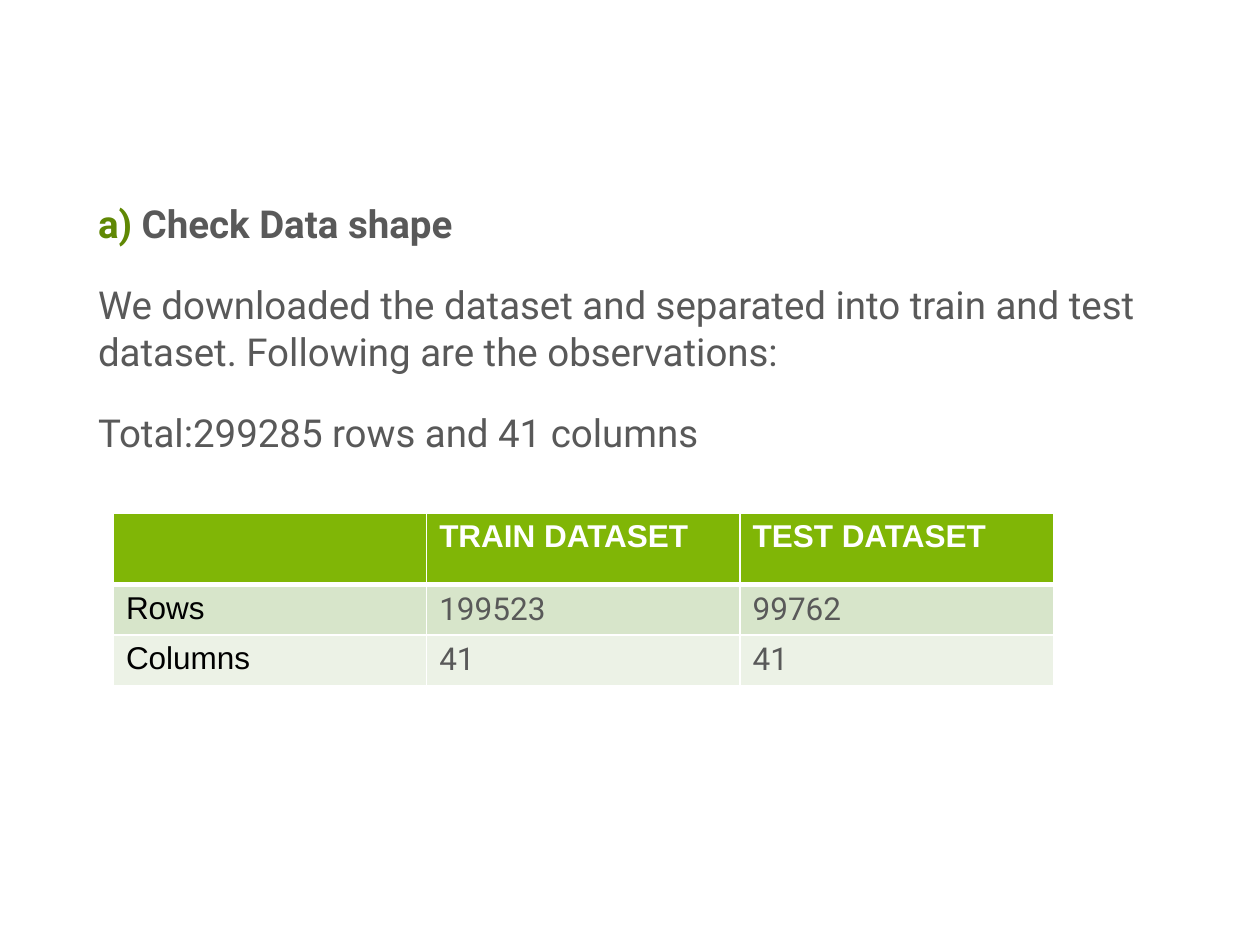
from pptx import Presentation
from pptx.dml.color import RGBColor as RGB
from pptx.oxml import parse_xml
from pptx.oxml.ns import nsdecls
from pptx.util import Inches, Pt

COLORS = {"green": "608804", "gray": "595959", "black": "000000", "white": "FFFFFF",
          "head": "80B606", "band": "D7E5CA", "pale": "ECF2E6"}


def style(font, face, size, color, bold=False):
    font.name, font.size, font.bold = face, Pt(size), bold
    font.color.rgb = RGB.from_string(COLORS[color])


def border(cell, widths):
    props = cell._tc.get_or_add_tcPr()
    for i, (side, width) in enumerate(zip("LRTB", widths)):
        props.insert(i, parse_xml(
            f'<a:ln{side} {nsdecls("a")} w="{Pt(width)}"><a:solidFill>'
            f'<a:srgbClr val="{COLORS["white"]}"/></a:solidFill></a:ln{side}>'))


prs = Presentation()
prs.slide_width, prs.slide_height = Inches(10), Inches(7.5)
slide = prs.slides.add_slide(prs.slide_layouts[6])

box = slide.shapes.add_textbox(Inches(0.68), Inches(1.54), Inches(9), Inches(5.47))
frame = box.text_frame
frame.word_wrap = True
head = frame.paragraphs[0]
for text, color in (("a) ", "green"), ("Check Data shape", "gray")):
    run = head.add_run()
    run.text = text
    style(run.font, "Roboto", 22, color, True)
for text in ("We downloaded the dataset and separated into train and test dataset. "
             "Following are the observations:",
             "Total:299285 rows and 41 columns"):
    para = frame.add_paragraph()
    para.text = text
    para.space_before = Pt(20)
    style(para.font, "Roboto", 22, "gray")

rows = [("", "TRAIN DATASET", "TEST DATASET"),
        ("Rows", "199523", "99762"),
        ("Columns", "41", "41")]
fills = ["head", "band", "pale"]
heights = [0.57, 0.39, 0.39]
table = slide.shapes.add_table(3, 3, Inches(0.9), Inches(4.07),
                               Inches(7.46), Inches(sum(heights))).table
for r, texts in enumerate(rows):
    table.rows[r].height = Inches(heights[r])
    for c, text in enumerate(texts):
        cell = table.cell(r, c)
        cell.text = text
        cell.fill.solid()
        cell.fill.fore_color.rgb = RGB.from_string(COLORS[fills[r]])
        border(cell, (1, 1, 3 if r == 1 else 1, 3 if r == 0 else 1))
        font = cell.text_frame.paragraphs[0].font
        if r == 0:
            style(font, "Arial", 18, "white", True)
        elif c == 0:
            style(font, "Arial", 18, "black")
        else:
            style(font, "Roboto", 18, "gray")

prs.save("out.pptx")
